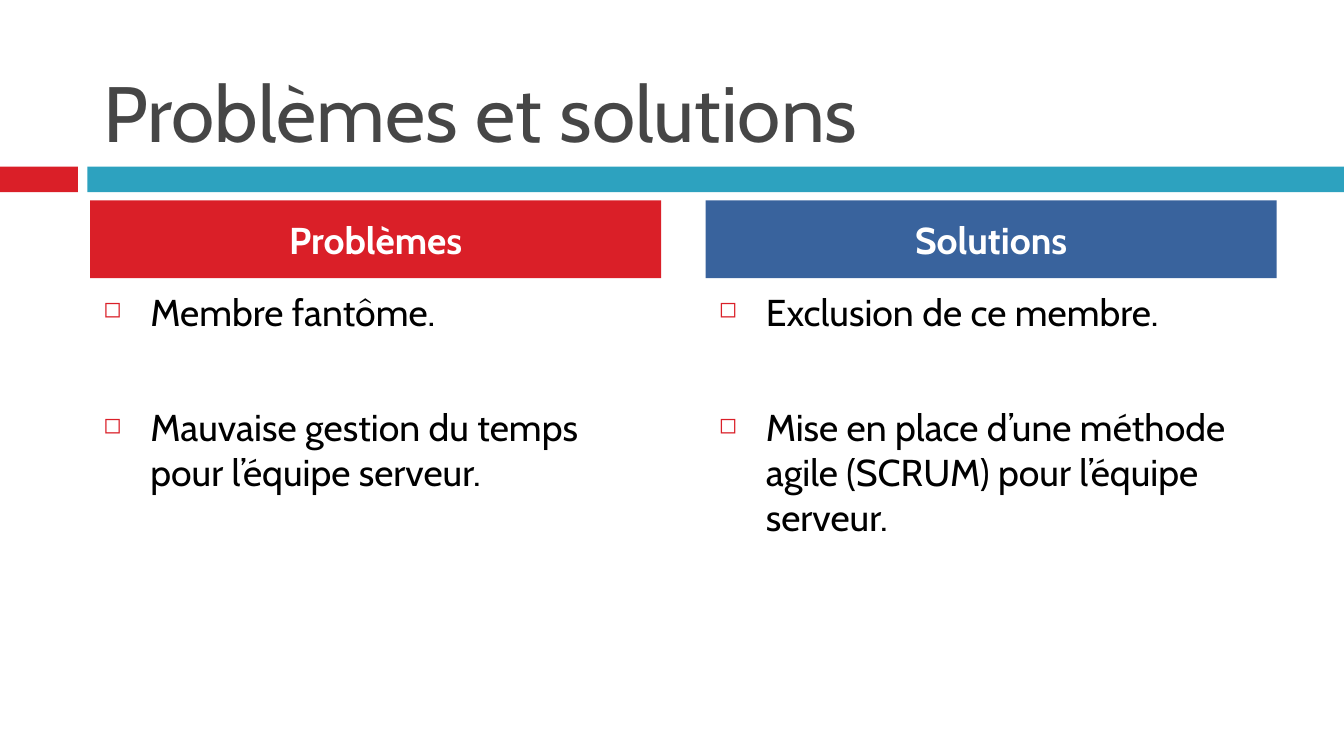
import pptx
import pptx.util
import pptx.dml.color
import pptx.enum.shapes
import pptx.enum.text
import pptx.oxml.ns
import lxml.etree

Inches, Pt = pptx.util.Inches, pptx.util.Pt
ANCHOR = pptx.enum.text.MSO_ANCHOR
ALIGN = pptx.enum.text.PP_ALIGN
qn = pptx.oxml.ns.qn

COLORS = {"red": "DA1F28", "teal": "2DA2BF", "blue": "39639D",
          "title": "464646", "text": "000000", "white": "FFFFFF"}
WIDTH = 10
HEIGHT = WIDTH * 9 / 16
LEFT, COLUMN_WIDTH, COLUMN_STEP = 0.67, 4.25, 4.58
BAR_TOP, BAR_HEIGHT = 1.24, 0.19
HEADER_TOP, HEADER_HEIGHT = 1.49, 0.58
LIST_TOP, LIST_HEIGHT = 2.1, 2.88
BULLET_INDENT = 0.35
SPACE_BEFORE, ITEM_GAP = 7, 38

columns = [
    ("Problèmes", "red",
     ["Membre fantôme.",
      "Mauvaise gestion du temps pour l’équipe serveur."]),
    ("Solutions", "blue",
     ["Exclusion de ce membre.",
      "Mise en place d’une méthode agile (SCRUM) pour l’équipe serveur."]),
]

deck = pptx.Presentation()
deck.slide_width, deck.slide_height = Inches(WIDTH), Inches(HEIGHT)
slide = deck.slides.add_slide(deck.slide_layouts[6])


def add_area(left, top, width, height, fill=None, anchor=ANCHOR.TOP):
    """Add a filled rectangle, or a plain text box when no fill is given."""
    place = [Inches(length) for length in (left, top, width, height)]
    if fill:
        area = slide.shapes.add_shape(
            pptx.enum.shapes.MSO_SHAPE.RECTANGLE, *place)
        area.shadow.inherit = False
        area.fill.solid()
        area.fill.fore_color.rgb = pptx.dml.color.RGBColor.from_string(COLORS[fill])
        area.line.fill.background()
    else:
        area = slide.shapes.add_textbox(*place)
    area.text_frame.word_wrap = True
    area.text_frame.vertical_anchor = anchor
    return area


def write(paragraph, text, size, color, bold=False, align=ALIGN.LEFT, before=0):
    """Add one styled run to a paragraph and set the paragraph's layout."""
    paragraph.alignment = align
    paragraph.space_before = Pt(before)
    run = paragraph.add_run()
    run.text = text
    run.font.name = "Cabin"
    run.font.size = Pt(size)
    run.font.bold = bold
    run.font.color.rgb = pptx.dml.color.RGBColor.from_string(COLORS[color])


# Bars under the title
for left, right, color in [(0, 0.58, "red"), (0.65, WIDTH, "teal")]:
    add_area(left, BAR_TOP, right - left, BAR_HEIGHT, color)

title = add_area(LEFT, 0.13, 8.92, 1.1, anchor=ANCHOR.BOTTOM)
write(title.text_frame.paragraphs[0], "Problèmes et solutions", 42, "title")

# One header and one bulleted list per column
for index, (heading, color, items) in enumerate(columns):
    left = LEFT + index * COLUMN_STEP
    header = add_area(left, HEADER_TOP, COLUMN_WIDTH, HEADER_HEIGHT, color,
                      ANCHOR.MIDDLE)
    write(header.text_frame.paragraphs[0], heading, 20, "white", True,
          ALIGN.CENTER, SPACE_BEFORE)

    points = add_area(left, LIST_TOP, COLUMN_WIDTH, LIST_HEIGHT).text_frame
    for number, item in enumerate(items):
        point = points.add_paragraph() if number else points.paragraphs[0]
        write(point, item, 20, "text",
              before=ITEM_GAP if number else SPACE_BEFORE)
        layout = point._p.get_or_add_pPr()
        layout.set("marL", str(Inches(BULLET_INDENT)))
        layout.set("indent", str(-Inches(BULLET_INDENT)))
        bullet_color = lxml.etree.SubElement(layout, qn("a:buClr"))
        lxml.etree.SubElement(bullet_color, qn("a:srgbClr"), val=COLORS["red"])
        lxml.etree.SubElement(layout, qn("a:buSzPct"), val="60000")
        lxml.etree.SubElement(layout, qn("a:buChar"), char="◻")

deck.save("out.pptx")
